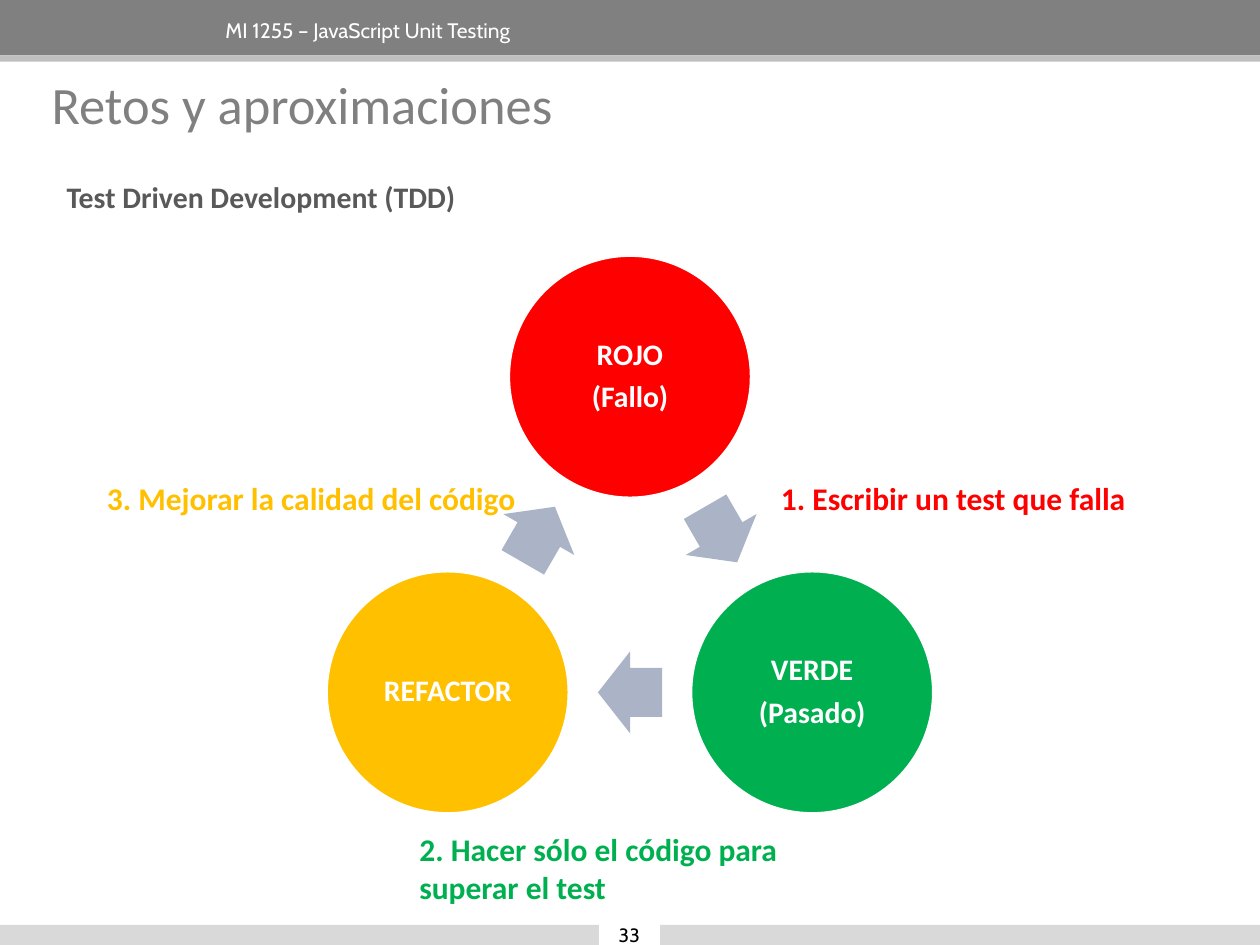
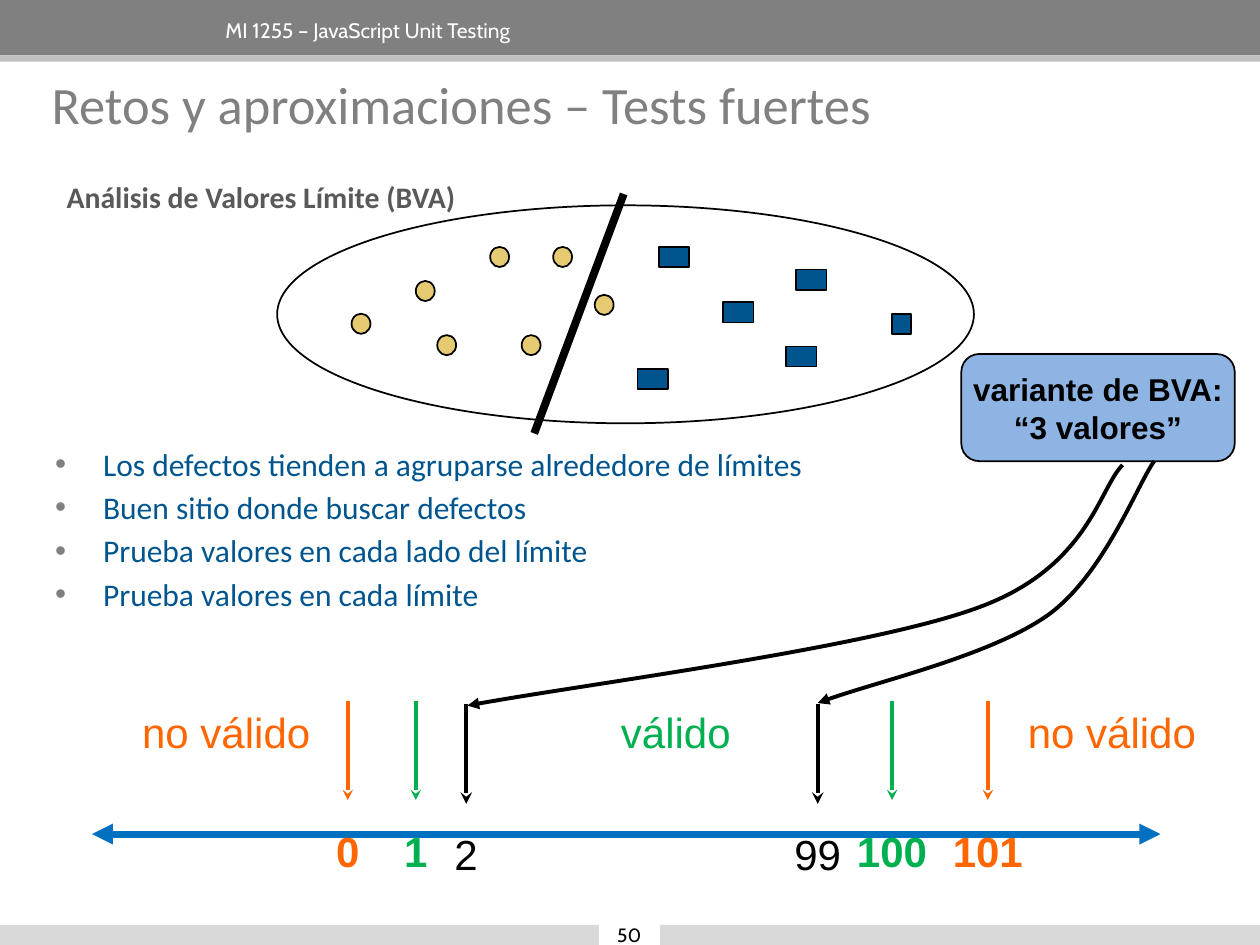
from math import cos, radians, sin

from lxml import etree
from pptx import Presentation
from pptx.dml.color import RGBColor
from pptx.enum.shapes import MSO_CONNECTOR, MSO_SHAPE
from pptx.enum.text import MSO_ANCHOR, MSO_AUTO_SIZE, PP_ALIGN
from pptx.oxml.ns import qn
from pptx.util import Inches, Pt

RECT, OVAL = MSO_SHAPE.RECTANGLE, MSO_SHAPE.OVAL
ROUNDED, ARROW = MSO_SHAPE.ROUNDED_RECTANGLE, MSO_SHAPE.RIGHT_ARROW
STRAIGHT = MSO_CONNECTOR.STRAIGHT
LEFT, CENTER = PP_ALIGN.LEFT, PP_ALIGN.CENTER
TOP, MIDDLE = MSO_ANCHOR.TOP, MSO_ANCHOR.MIDDLE
NO_AUTOSIZE = MSO_AUTO_SIZE.NONE

C = {
    "white": "FFFFFF", "black": "000000", "header": "808080", "rule": "BFBFBF",
    "footer": "D9D9D9", "title": "808080", "heading": "595959",
    "red": "FF0000", "green": "00B050", "amber": "FFC000", "cycle_arrow": "ABB4C6",
    "navy": "00558E", "gold": "E5CA72", "axis": "0070C0", "orange": "FF6600",
    "callout": "8EB4E3",
}

# ---- Shared content ----
COURSE = "MI 1255 – JavaScript Unit Testing"
BANDS = [  # top, height, colour
    (0, 0.44, "header"), (0.44, 0.05, "rule"), (7.34, 0.16, "footer"),
]

# ---- TDD cycle ----
TDD = ("Retos y aproximaciones", "Test Driven Development (TDD)", "33")
STAGES = [  # clockwise from the top
    (["ROJO", "(Fallo)"], "red"),
    (["VERDE", "(Pasado)"], "green"),
    (["REFACTOR"], "amber"),
]
STEPS = [  # text, box, colour
    ("1. Escribir un test que falla", (6.1, 3.75, 3.7, 0.4), "red"),
    ("2. Hacer sólo el código para superar el test", (3.23, 6.54, 3.7, 0.71), "green"),
    ("3. Mejorar la calidad del código", (0.75, 3.75, 3.74, 0.71), "amber"),
]
CYCLE_CENTER, CYCLE_RADIUS = (5, 4.66), 1.67
STAGE_SIZE = 1.93
CYCLE_ARROW = (0.51, 0.65)

# ---- Boundary values ----
BVA = ("Retos y aproximaciones – Tests fuertes", "Análisis de Valores Límite (BVA)", "50")
ADVICE = [
    "Los defectos tienden a agruparse alrededore de límites",
    "Buen sitio donde buscar defectos",
    "Prueba valores en cada lado del límite",
    "Prueba valores en cada límite",
]
CIRCLES = [(3.89, 1.96), (2.79, 2.49), (4.39, 1.96), (3.47, 2.66),
           (3.3, 2.23), (4.14, 2.66), (4.72, 2.34)]
SQUARES = [(7.08, 2.49, 0.15), (5.23, 1.96, 0.24), (5.74, 2.4, 0.24),
           (5.06, 2.93, 0.24), (6.24, 2.75, 0.24), (6.32, 2.14, 0.24)]
AXIS_Y = 6.62
LIMITS = [  # value, x, colour
    ("0", 2.76, "orange"), ("1", 3.3, "green"), ("100", 7.08, "green"), ("101", 7.84, "orange"),
]
EXTRA_VALUES = [("2", 3.7, "black"), ("99", 6.49, "black")]
ZONES = [  # text, left, width, colour
    ("no válido", 1.03, 1.58, "orange"),
    ("válido", 4.83, 1.08, "green"),
    ("no válido", 8.06, 1.54, "orange"),
]
CALLOUT = ["variante de BVA:", "“3 valores”"]
CALLOUT_CURVES = [  # start point, then three points per Bézier segment
    [(9.16, 3.66), (9.02, 3.86), (8.76, 4.56), (8.32, 4.88),
     (7.87, 5.2), (6.87, 5.43), (6.49, 5.58)],
    [(8.91, 3.69), (8.72, 3.88), (8.64, 4.5), (7.77, 4.82),
     (6.91, 5.14), (4.56, 5.44), (3.71, 5.6)],
]


def rgb(name):
    return RGBColor.from_string(C[name])


def inches(values):
    return [Inches(value) for value in values]


def write(frame, lines, size, colour, font="Calibri", bold=False, align=LEFT,
          anchor=TOP, wrap=True, spacing=None, gap=0, insets=None):
    """Fill a text frame, one paragraph per line, with gap points between them."""
    frame.auto_size = NO_AUTOSIZE
    frame.word_wrap = wrap
    frame.vertical_anchor = anchor
    if insets:
        frame.margin_left = frame.margin_right = Inches(insets[0])
        frame.margin_top = frame.margin_bottom = Inches(insets[1])
    for index, line in enumerate(lines):
        paragraph = frame.add_paragraph() if index else frame.paragraphs[0]
        paragraph.alignment = align
        paragraph.space_before = Pt(gap if index else 0)
        if spacing:
            paragraph.line_spacing = spacing
        run = paragraph.add_run()
        run.text = line
        run.font.size = Pt(size)
        run.font.name = font
        run.font.bold = bold
        run.font.color.rgb = rgb(colour)


def add_text(slide, box, lines, size, colour, **style):
    frame = slide.shapes.add_textbox(*inches(box)).text_frame
    write(frame, lines, size, colour, **style)
    return frame


def style_line(line, colour, width):
    line.color.rgb = rgb(colour)
    line.width = Pt(width)


def add_block(slide, kind, box, fill=None, line=None, width=1):
    block = slide.shapes.add_shape(kind, *inches(box))
    block.shadow.inherit = False
    if fill:
        block.fill.solid()
        block.fill.fore_color.rgb = rgb(fill)
    else:
        block.fill.background()
    if line:
        style_line(block.line, line, width)
    else:
        block.line.fill.background()
    return block


def add_arrowheads(shape, head=None, tail=None):
    outline = shape.element.spPr.find(qn("a:ln"))
    for tag, kind in (("a:headEnd", head), ("a:tailEnd", tail)):
        if kind:
            etree.SubElement(outline, qn(tag), type=kind)


def add_line(slide, start, end, colour, width, head=None, tail=None):
    connector = slide.shapes.add_connector(STRAIGHT, *inches(start + end))
    style_line(connector.line, colour, width)
    add_arrowheads(connector, head, tail)
    etree.SubElement(connector.element.spPr, qn("a:effectLst"))


def add_curve(slide, points):
    """Draw a freeform whose segments, taken three at a time, become Béziers."""
    start, *rest = [inches(point) for point in points]
    builder = slide.shapes.build_freeform(*start)
    builder.add_line_segments(rest, close=False)
    curve = builder.convert_to_shape()
    curve.shadow.inherit = False
    curve.fill.background()
    style_line(curve.line, "black", 2.25)
    add_arrowheads(curve, tail="triangle")
    segments = list(curve.element.iter(qn("a:lnTo")))
    for first in range(0, len(segments), 3):
        bezier = etree.Element(qn("a:cubicBezTo"))
        segments[first].addprevious(bezier)
        for segment in segments[first:first + 3]:
            bezier.append(segment[0])
            segment.getparent().remove(segment)


def add_base_slide(prs, title, heading, number):
    slide = prs.slides.add_slide(prs.slide_layouts[5])
    for top, height, colour in BANDS:
        add_block(slide, RECT, (0, top, 10, height), colour)
    add_text(slide, (1.69, 0.09, 7.11, 0.31), [COURSE], 12, "white", font="Cabin")
    holder = slide.shapes.title
    holder.left, holder.top, holder.width, holder.height = inches((0.31, 0.52, 9.53, 1.02))
    write(holder.text_frame, [title], 30, "title")
    page_tab = add_block(slide, RECT, (4.76, 7.34, 0.47, 0.16), "white", "white", 0.75)
    write(page_tab.text_frame, [number], 11, "black", font="Cabin", align=CENTER, anchor=MIDDLE)
    add_text(slide, (0.43, 1.23, 9.14, 0.6), [heading], 17, "heading", bold=True, spacing=1.5)
    return slide


def build_tdd_cycle(prs):
    slide = add_base_slide(prs, *TDD)
    turn = 360 / len(STAGES)
    centers = []
    for index in range(len(STAGES)):
        angle = radians(index * turn - 90)
        centers.append((CYCLE_CENTER[0] + CYCLE_RADIUS * cos(angle),
                        CYCLE_CENTER[1] + CYCLE_RADIUS * sin(angle)))
    width, height = CYCLE_ARROW
    for index, (lines, colour) in enumerate(STAGES):
        x, y = centers[index]
        stage = add_block(slide, OVAL, (x - STAGE_SIZE / 2, y - STAGE_SIZE / 2,
                                        STAGE_SIZE, STAGE_SIZE), colour, "white", 2)
        write(stage.text_frame, lines, 17, "white", bold=True, align=CENTER,
              anchor=MIDDLE, spacing=0.9, gap=6, insets=(0.02, 0.02))
        next_x, next_y = centers[(index + 1) % len(STAGES)]
        arrow = add_block(slide, ARROW, ((x + next_x - width) / 2, (y + next_y - height) / 2,
                                         width, height), "cycle_arrow")
        arrow.adjustments[0] = 0.6
        arrow.rotation = turn * (index + 0.5)
    for text, box, colour in STEPS:
        add_text(slide, box, [text], 18, colour, bold=True)


def add_advice(slide):
    frame = add_text(slide, (0.34, 3.48, 7.2, 1.5), ADVICE, 18, "navy", gap=3.2)
    for paragraph in frame.paragraphs:
        properties = paragraph._p.get_or_add_pPr()
        properties.set("marL", str(Inches(0.38)))
        properties.set("indent", str(-Inches(0.38)))
        bullet_colour = etree.SubElement(properties, qn("a:buClr"))
        etree.SubElement(bullet_colour, qn("a:srgbClr"), val=C["title"])
        etree.SubElement(properties, qn("a:buFont"), typeface="Arial")
        etree.SubElement(properties, qn("a:buChar"), char="•")


def add_values(slide, values, arrow_top, label_top, width, bold):
    for value, x, colour in values:
        add_line(slide, (x, arrow_top), (x, arrow_top + 0.79), colour, width, tail="stealth")
        add_text(slide, (x - 0.4, label_top, 0.8, 0.42), [value], 24, colour, font="Arial",
                 bold=bold, align=CENTER, wrap=False, spacing=0.9, insets=(0.07, 0.03))


def build_boundary_values(prs):
    slide = add_base_slide(prs, *BVA)
    add_advice(slide)
    add_block(slide, OVAL, (2.2, 1.63, 5.53, 1.73), line="black")
    for left, top in CIRCLES:
        add_block(slide, OVAL, (left, top, 0.15, 0.16), "gold", "black")
    add_line(slide, (4.95, 1.54), (4.24, 3.44), "black", 4.5)
    for left, top, width in SQUARES:
        add_block(slide, RECT, (left, top, width, 0.16), "navy", "black")

    add_line(slide, (0.73, AXIS_Y), (9.21, AXIS_Y), "axis", 4, "triangle", "triangle")
    add_values(slide, LIMITS, 5.56, 6.57, 2, True)
    for text, left, width, colour in ZONES:
        add_text(slide, (left, 5.56, width, 0.51), [text], 24, colour, font="Arial", wrap=False)
    add_values(slide, EXTRA_VALUES, 5.59, 6.59, 2.25, False)

    callout = add_block(slide, ROUNDED, (7.63, 2.81, 2.17, 0.85), "callout", "black")
    write(callout.text_frame, CALLOUT, 18, "black", font="Arial", bold=True,
          align=CENTER, anchor=MIDDLE, wrap=False)
    for points in CALLOUT_CURVES:
        add_curve(slide, points)


def main():
    prs = Presentation()
    prs.slide_width, prs.slide_height = Inches(10), Inches(7.5)
    build_tdd_cycle(prs)
    build_boundary_values(prs)
    prs.save("out.pptx")


if __name__ == "__main__":
    main()
